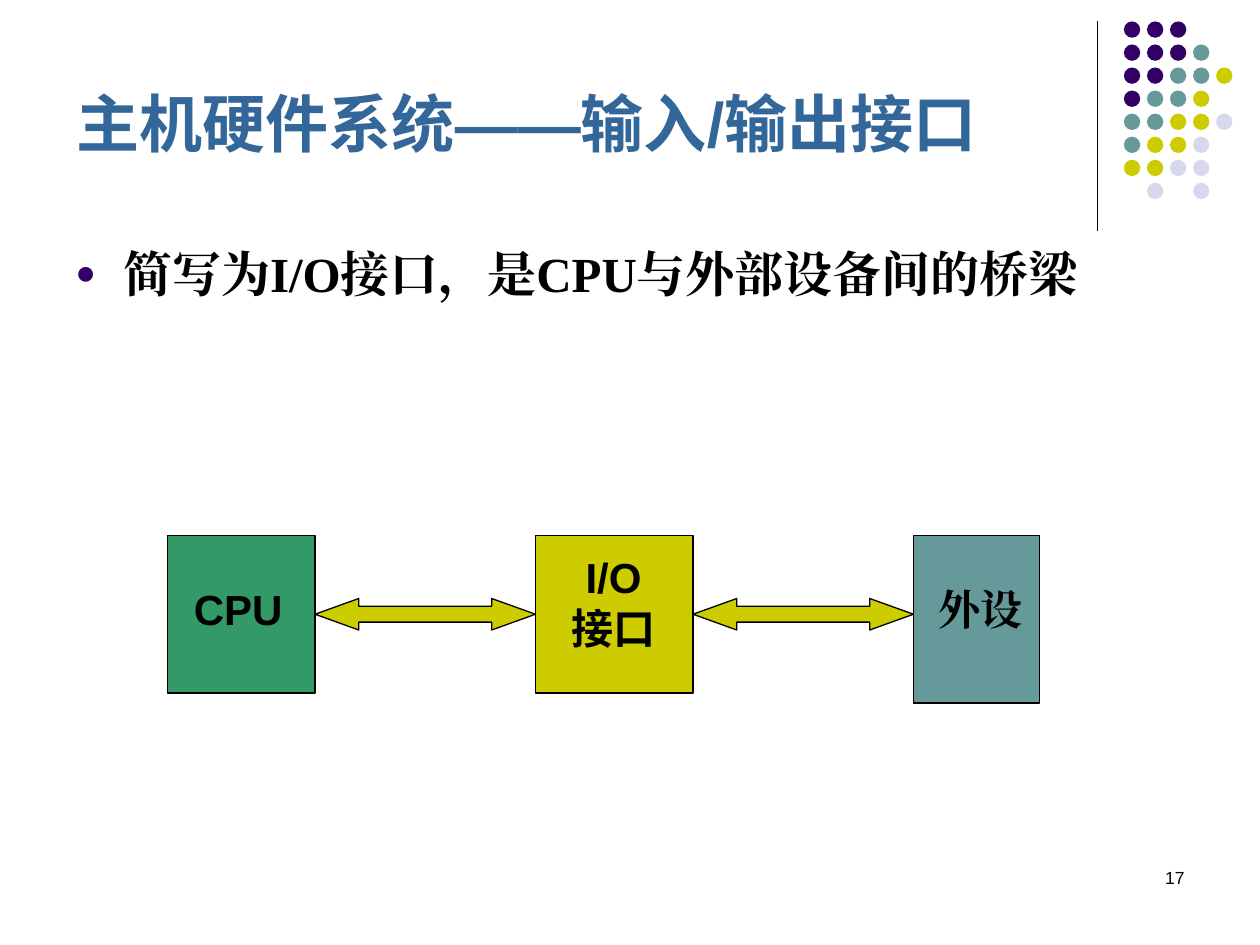
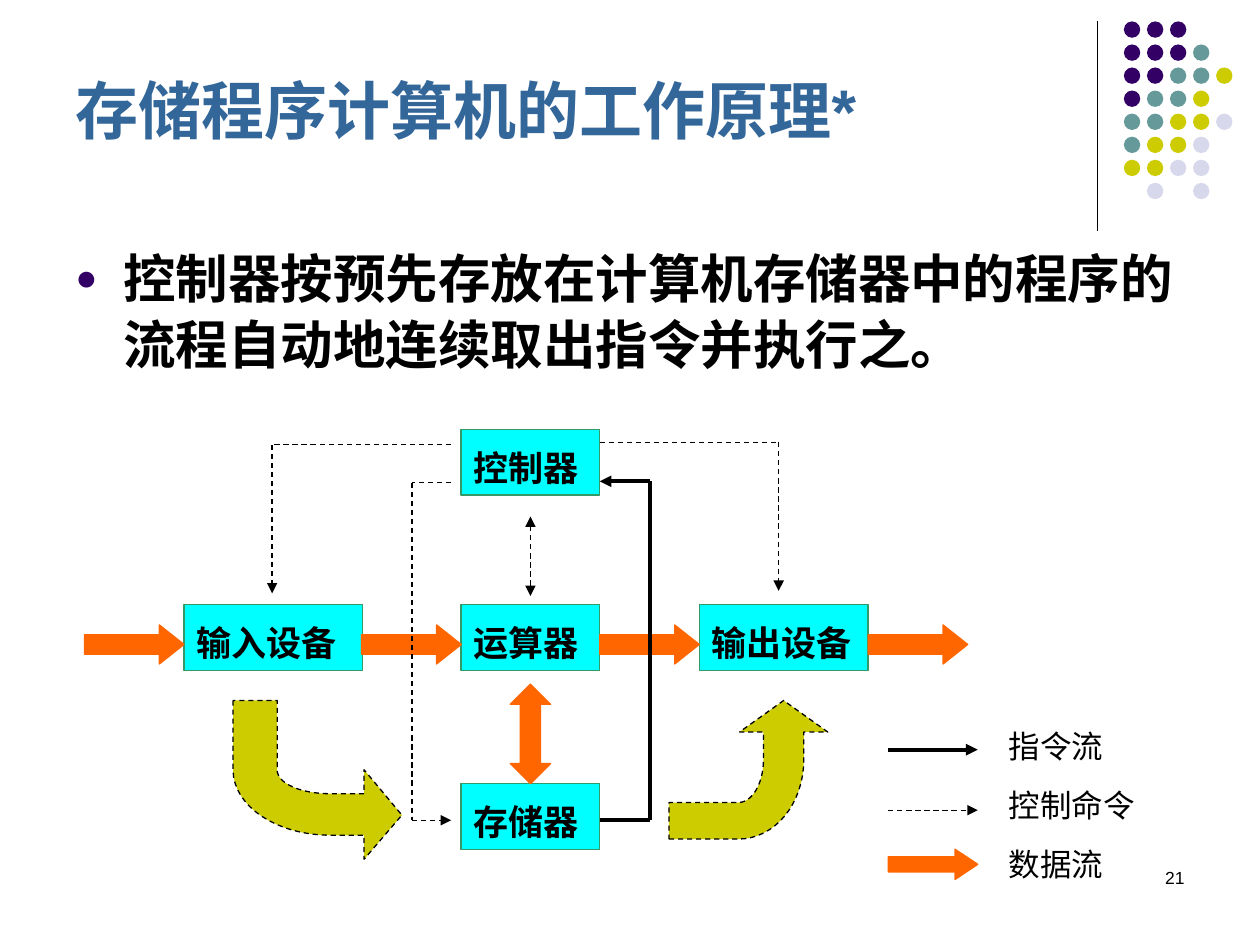
from lxml import etree
from pptx import Presentation
from pptx.dml.color import RGBColor
from pptx.enum.dml import MSO_LINE_DASH_STYLE as Dash
from pptx.enum.shapes import MSO_CONNECTOR as Connector, MSO_SHAPE as Shape
from pptx.enum.text import MSO_ANCHOR as Anchor, MSO_AUTO_SIZE as AutoSize, PP_ALIGN as Align
from pptx.oxml.ns import qn
from pptx.util import Inches, Pt

COLORS = {
    "title": "336699", "text": "000000", "purple": "330066", "teal": "669999",
    "lime": "CCCC00", "mist": "D8D8EC", "green": "339966", "cyan": "00FFFF",
    "orange": "FF6600",
}
DOT_ROWS = ["PPP", "PPPT", "PPTTL", "PTTL", "TTLLM", "TLLM", "LLMM", " M M"]
DOT_COLORS = {"P": "purple", "T": "teal", "L": "lime", "M": "mist"}
THIN, THICK = 0.75, 2.25


def rgb(name):
    return RGBColor.from_string(COLORS[name])


def write(shape, text, size, font="Arial", color="text", bold=False,
          align=Align.LEFT, anchor=Anchor.TOP, spacing=1.0):
    frame = shape.text_frame
    frame.text = text
    frame.word_wrap = True
    frame.auto_size = AutoSize.NONE
    frame.vertical_anchor = anchor
    for paragraph in frame.paragraphs:
        paragraph.alignment = align
        paragraph.line_spacing = spacing
        for run in paragraph.runs:
            run.font.size, run.font.name, run.font.bold = Pt(size), font, bold
            run.font.color.rgb = rgb(color)
            east_asian = etree.SubElement(run.font._element, qn("a:ea"))
            east_asian.set("typeface", font)
    return frame


def add_label(slide, left, top, width, height, text, size, **style):
    label = slide.shapes.add_textbox(Inches(left), Inches(top), Inches(width), Inches(height))
    return write(label, text, size, **style)


def paint(shape, fill, line=None, dashed=False):
    shape.shadow.inherit = False
    shape.fill.solid()
    shape.fill.fore_color.rgb = rgb(fill)
    if line is None:
        shape.line.fill.background()
        return
    shape.line.color.rgb = rgb(line)
    shape.line.width = Pt(THIN)
    if dashed:
        shape.line.dash_style = Dash.DASH


def add_figure(slide, kind, left, top, width, height, fill, line=None, adjust=()):
    figure = slide.shapes.add_shape(kind, Inches(left), Inches(top), Inches(width), Inches(height))
    for index, value in enumerate(adjust):
        figure.adjustments[index] = value
    paint(figure, fill, line)
    return figure


def add_path(slide, left, top, points, width=THIN, dashed=False, head=False, tail=False):
    legs = list(zip(points, points[1:]))
    for index, ((x1, y1), (x2, y2)) in enumerate(legs):
        leg = slide.shapes.add_connector(
            Connector.STRAIGHT, Inches(left + x1), Inches(top + y1),
            Inches(left + x2), Inches(top + y2))
        leg.line.color.rgb = rgb("text")
        leg.line.width = Pt(width)
        if dashed:
            leg.line.dash_style = Dash.DASH
        outline = leg.line._get_or_add_ln()
        if head and index == 0:
            etree.SubElement(outline, qn("a:headEnd")).set("type", "triangle")
        if tail and index == len(legs) - 1:
            etree.SubElement(outline, qn("a:tailEnd")).set("type", "triangle")
        etree.SubElement(leg._element.spPr, qn("a:effectLst"))


def curve(start, first, second, end, steps=16):
    def at(t):
        weights = ((1 - t) ** 3, 3 * t * (1 - t) ** 2, 3 * t * t * (1 - t), t ** 3)
        return tuple(sum(w * p[axis] for w, p in zip(weights, (start, first, second, end)))
                     for axis in (0, 1))
    return [at(step / steps) for step in range(steps + 1)]


def add_bent_arrow(slide, left, top, outline):
    corners = [(Inches(left + x), Inches(top + y)) for x, y in outline]
    builder = slide.shapes.build_freeform(*corners[0], scale=1.0)
    builder.add_line_segments(corners[1:], close=True)
    paint(builder.convert_to_shape(), "lime", "text", dashed=True)


def add_dots(slide, left, top, pitch=0.183, size=0.13):
    add_path(slide, left, top, [(0, 0), (0, 1.66)])
    for row, codes in enumerate(DOT_ROWS):
        for column, code in enumerate(codes):
            if code in DOT_COLORS:
                add_figure(slide, Shape.OVAL, left + 0.21 + column * pitch,
                           top + row * pitch, size, size, DOT_COLORS[code])


def add_title(slide, left, top, width, height, text):
    title = slide.shapes.title
    title.left, title.top = Inches(left), Inches(top)
    title.width, title.height = Inches(width), Inches(height)
    write(title, text, 36, color="title", bold=True, anchor=Anchor.BOTTOM)


def add_bullet(slide, left, top, text, size, font, spacing=1.0):
    frame = add_label(slide, left, top, 9, 4.82, text, size, font=font, bold=True,
                      spacing=spacing)
    props = frame.paragraphs[0]._p.get_or_add_pPr()
    props.set("marL", str(Inches(0.38)))
    props.set("indent", str(-Inches(0.38)))
    color = etree.SubElement(props, qn("a:buClr"))
    etree.SubElement(color, qn("a:srgbClr")).set("val", COLORS["purple"])
    etree.SubElement(props, qn("a:buSzPct")).set("val", "70000")
    etree.SubElement(props, qn("a:buFont")).set("typeface", "Arial")
    etree.SubElement(props, qn("a:buChar")).set("char", "●")


def start_slide(deck, title, title_box, number):
    slide = deck.slides.add_slide(deck.slide_layouts[5])
    add_dots(slide, 8.71, 0.17)
    add_title(slide, *title_box, title)
    add_label(slide, 7.17, 6.83, 2.33, 0.5, number, 10, align=Align.RIGHT)
    return slide


def add_interface_chain(slide, left, top):
    blocks = [(0, 1.17, 1.25, "green"), (2.92, 1.25, 1.25, "lime"), (5.92, 1, 1.33, "teal")]
    for x, width, height, fill in blocks:
        add_figure(slide, Shape.RECTANGLE, left + x, top, width, height, fill, "text")
    captions = [(0.05, 0.33, 1.02, 0.5, "CPU", "Arial"),
                (3.09, 0.08, 0.9, 0.9, "I/O\n接口", "Arial"),
                (6, 0.33, 0.9, 0.5, "外设", "Times New Roman")]
    for x, y, width, height, text, font in captions:
        add_label(slide, left + x, top + y, width, height, text, 24, font=font,
                  bold=True, align=Align.CENTER)
    for (x, width, *_), (following, *_) in zip(blocks, blocks[1:]):
        add_figure(slide, Shape.LEFT_RIGHT_ARROW, left + x + width, top + 0.5,
                   following - x - width, 0.25, "lime", "text", (0.5, 1.39))


def add_machine(slide, left, top):
    units = [("运算器", 2.99, 1.39, 1.1), ("输出设备", 4.88, 1.39, 1.34),
             ("控制器", 2.99, 0, 1.1), ("输入设备", 0.79, 1.39, 1.42),
             ("存储器", 2.99, 2.81, 1.1)]
    for text, x, y, width in units:
        unit = add_figure(slide, Shape.RECTANGLE, left + x, top + y, width, 0.52, "cyan", "green")
        write(unit, text, 20, bold=True, spacing=1.25)
    for x in (0, 2.2, 4.09, 6.22):
        add_figure(slide, Shape.RIGHT_ARROW, left + x, top + 1.55, 0.79, 0.31,
                   "orange", "orange", (0.5, 0.63))
    add_figure(slide, Shape.UP_DOWN_ARROW, left + 3.38, top + 2.02, 0.32, 0.79,
               "orange", "orange", (0.5, 0.5))
    add_path(slide, left, top, [(4.09, 3.1), (4.49, 3.1), (4.49, 0.41), (4.09, 0.41)],
             THICK, tail=True)
    commands = [[(2.91, 0.12), (1.49, 0.12), (1.49, 1.3)],
                [(4.09, 0.1), (5.51, 0.1), (5.51, 1.28)],
                [(2.91, 0.42), (2.6, 0.42), (2.6, 3.1), (2.91, 3.1)]]
    for points in commands:
        add_path(slide, left, top, points, dashed=True, tail=True)
    add_path(slide, left, top, [(3.54, 0.69), (3.54, 1.32)], dashed=True, head=True, tail=True)
    add_bent_arrow(slide, left + 1.18, top + 2.15, [
        (0, 0), *curve((0, 0.55), (0, 0.84), (0.35, 1.07), (0.77, 1.07)),
        (1.04, 1.07), (1.04, 1.26), (1.34, 0.91), (1.04, 0.55), (1.04, 0.74),
        *curve((0.77, 0.74), (0.54, 0.74), (0.35, 0.66), (0.35, 0.55)), (0.35, 0)])
    add_bent_arrow(slide, left + 4.64, top + 2.15, [
        (0, 1.1), *curve((0.55, 1.1), (0.84, 1.1), (1.07, 0.82), (1.07, 0.47)),
        (1.07, 0.25), (1.26, 0.25), (0.91, 0), (0.56, 0.25), (0.75, 0.25),
        *curve((0.75, 0.47), (0.75, 0.66), (0.66, 0.81), (0.55, 0.81)), (0, 0.81)])


def add_legend(slide, left, top, pitch=0.47):
    for row, text in enumerate(("指令流", "控制命令", "数据流")):
        add_label(slide, left + 0.86, top + row * pitch, 1.34, 0.4, text, 18)
    add_path(slide, left, top, [(0, 0.23), (0.71, 0.23)], THICK, tail=True)
    add_path(slide, left, top, [(0, 0.71), (0.71, 0.71)], dashed=True, tail=True)
    add_figure(slide, Shape.RIGHT_ARROW, left, top + 1.02, 0.71, 0.24,
               "orange", "orange", (0.5, 0.75))


def build_interface_slide(deck):
    slide = start_slide(deck, "主机硬件系统——输入/输出接口", (0.51, 0.49, 9.25, 0.83), "17")
    add_bullet(slide, 0.5, 1.88, "简写为I/O接口，是CPU与外部设备间的桥梁", 28, "Times New Roman")
    add_interface_chain(slide, 1.33, 4.25)


def build_principle_slide(deck):
    slide = start_slide(deck, "存储程序计算机的工作原理*", (0.5, 0.47, 8.25, 0.75), "21")
    add_bullet(slide, 0.5, 1.88,
               "控制器按预先存放在计算机存储器中的程序的流程自动地连续取出指令并执行之。",
               30, "Arial", 1.05)
    add_machine(slide, 0.67, 3.41)
    add_legend(slide, 7.05, 5.72)


deck = Presentation()
deck.slide_width, deck.slide_height = Inches(10), Inches(7.5)
build_interface_slide(deck)
build_principle_slide(deck)
deck.save("out.pptx")
